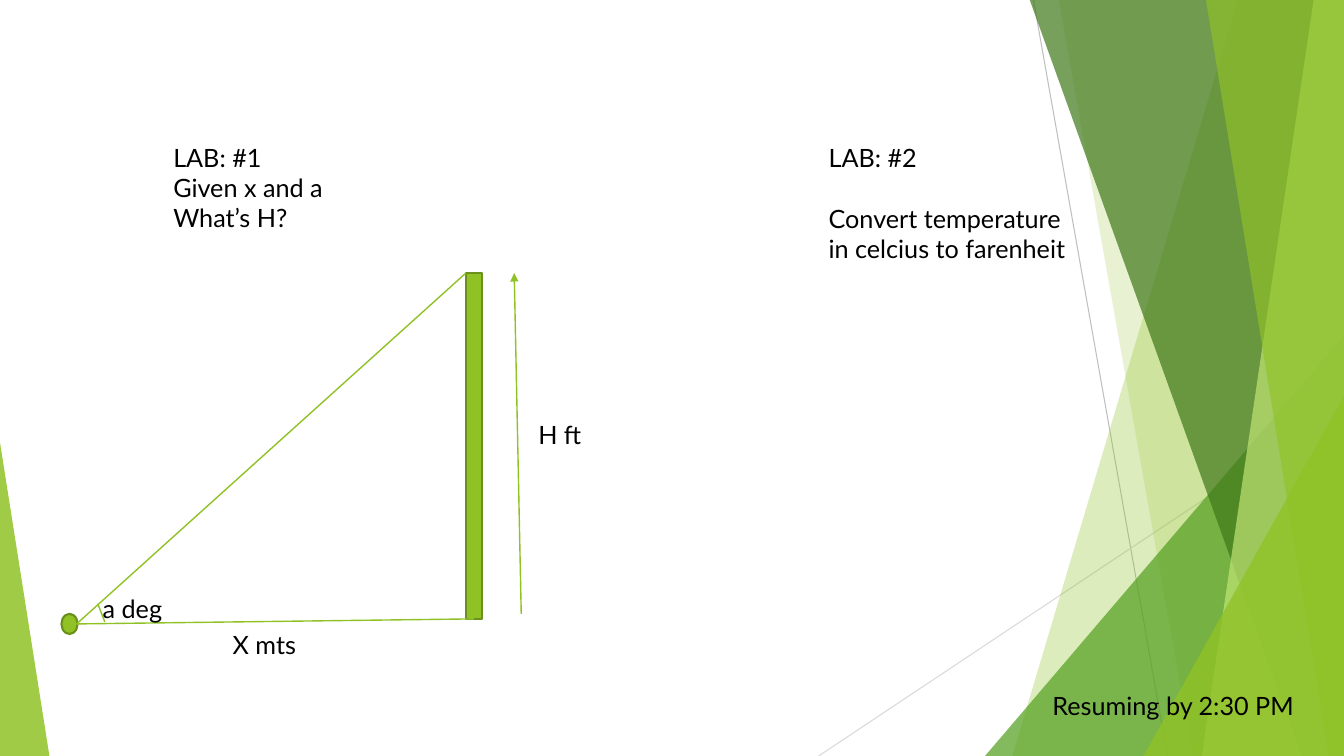
from lxml import etree
from pptx import Presentation
from pptx import util as u
from pptx.dml.color import RGBColor
from pptx.enum import shapes, text
from pptx.oxml.ns import qn

PX = 9144
W, H = 1333, 750
THEME = {
    "lime": "90C226", "green": "54A021", "forest": "3F7819", "pale": "C0E474",
    "outline": "6B901C", "gray": "BFBFBF", "silver": "D9D9D9", "ink": "000000",
    "font": "Lato", "size": 18,
}

prs = Presentation()
prs.slide_width, prs.slide_height = W * PX, H * PX
s = prs.slides.add_slide(prs.slide_layouts[6])


def paint(sp, color, alpha=100, outline=None):
    sp.shadow.inherit = False
    sp.fill.solid()
    sp.fill.fore_color.rgb = RGBColor.from_string(THEME[color])
    if alpha < 100:
        clr = sp.fill._xPr.find(qn("a:solidFill"))[0]
        etree.SubElement(clr, qn("a:alpha")).set("val", str(alpha * 1000))
    if outline:
        sp.line.color.rgb = RGBColor.from_string(THEME[outline])
        sp.line.width = u.Pt(1.5)
    else:
        sp.line.fill.background()


def add_line(x1, y1, x2, y2, color="lime", width=1):
    ln = s.shapes.add_connector(
        shapes.MSO_CONNECTOR.STRAIGHT, x1 * PX, y1 * PX, x2 * PX, y2 * PX)
    ln.line.color.rgb = RGBColor.from_string(THEME[color])
    ln.line.width = u.Pt(width)
    etree.SubElement(ln._element.spPr, qn("a:effectLst"))
    return ln


add_line(1025, 0, 1158, H, "gray", 0.75)
add_line(W, 403, 812, H, "silver", 0.75)

facets = [
    ("band", 1228, 1004, "lime", 30),
    ("band", 1050, 1183, "lime", 20),
    ("right", 356, 417, "green", 72),
    ("band", 1021, 1291, "forest", 70),
    ("band", 1303, 1192, "pale", 70),
    ("band", 1196, 1318, "lime", 65),
    ("right", 199, 357, "lime", 80),
    ("left", 49, 311, "lime", 85),
]
for kind, a, b, color, alpha in facets:
    if kind == "band":
        outline = s.shapes.build_freeform(a, -1, scale=PX)
        outline.add_line_segments([(W, -1), (W, H), (b, H)], close=True)
        sp = outline.convert_to_shape()
    else:
        left = W - a if kind == "right" else 0
        sp = s.shapes.add_shape(shapes.MSO_SHAPE.ISOSCELES_TRIANGLE,
                                left * PX, (H - b) * PX, a * PX, b * PX)
        sp.adjustments[0] = 1 if kind == "right" else 0
    paint(sp, color, alpha)

pole = s.shapes.add_shape(shapes.MSO_SHAPE.RECTANGLE, 462 * PX, 271 * PX, 16 * PX, 343 * PX)
observer = s.shapes.add_shape(shapes.MSO_SHAPE.OVAL, 61 * PX, 609 * PX, 16 * PX, 20 * PX)
for sp in (pole, observer):
    paint(sp, "lime", outline="outline")

ground = add_line(76, 619, 470, 614)
ground.end_connect(pole, 2)
add_line(76, 619, 462, 271)
add_line(97, 599, 104, 617)
height = add_line(517, 609, 510, 271)
etree.SubElement(height.line._get_or_add_ln(), qn("a:tailEnd")).set("type", "triangle")

labels = [
    (221, 619, 104, 40, ["X mts"], 0),
    (92, 584, 94, 40, ["a deg"], 0),
    (524, 411, 165, 40, ["H ft"], 0),
    (162, 136, 368, 101, ["LAB: #1", "Given x and a", "What’s H?"], 0),
    (812, 136, 266, 162, ["LAB: #2", "Convert temperature in celcius to farenheit"], 22),
    (1034, 680, 266, 40, ["Resuming by 2:30 PM"], 0),
]
for x, y, w, h, lines, gap in labels:
    tf = s.shapes.add_textbox(x * PX, y * PX, w * PX, h * PX).text_frame
    tf.word_wrap = True
    tf.auto_size = text.MSO_AUTO_SIZE.SHAPE_TO_FIT_TEXT
    tf.text = "\n".join(lines)
    for p in tf.paragraphs:
        p.font.name = THEME["font"]
        p.font.size = u.Pt(THEME["size"])
        p.font.color.rgb = RGBColor.from_string(THEME["ink"])
    tf.paragraphs[0].space_after = u.Pt(gap)

prs.save("out.pptx")
